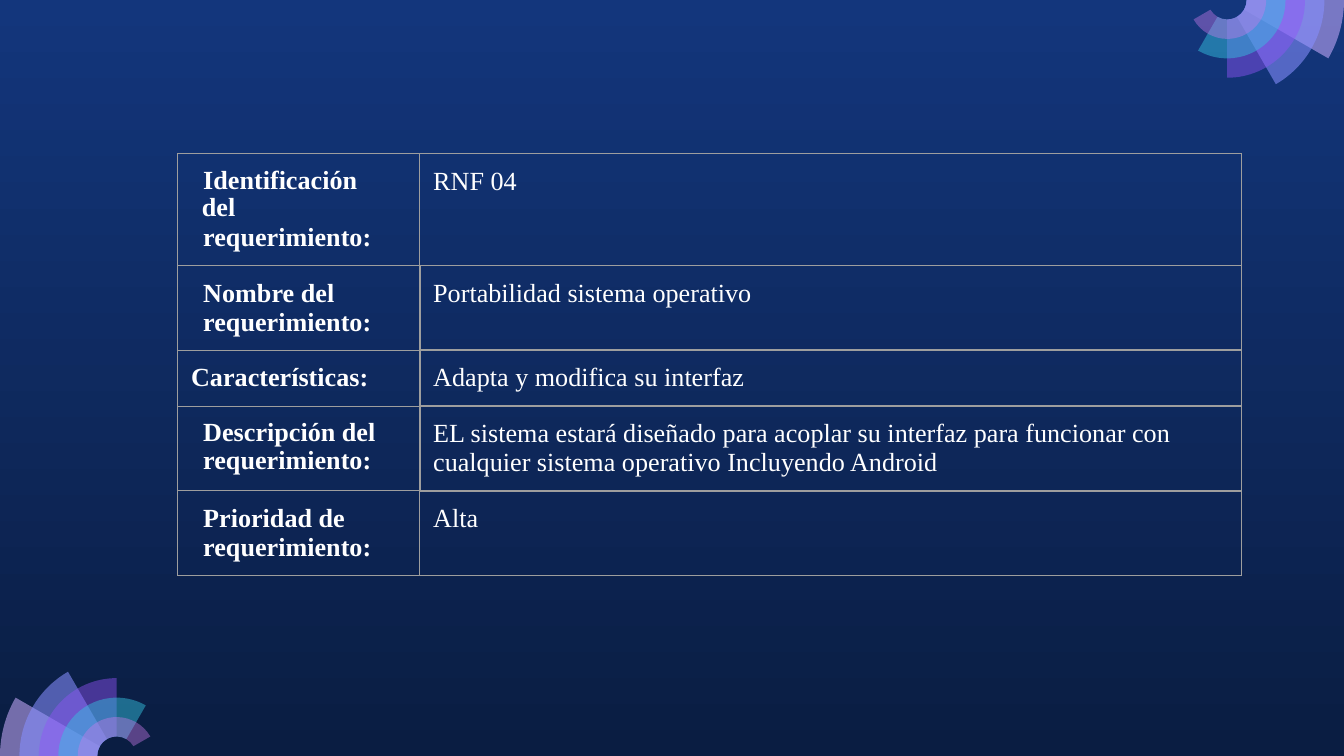
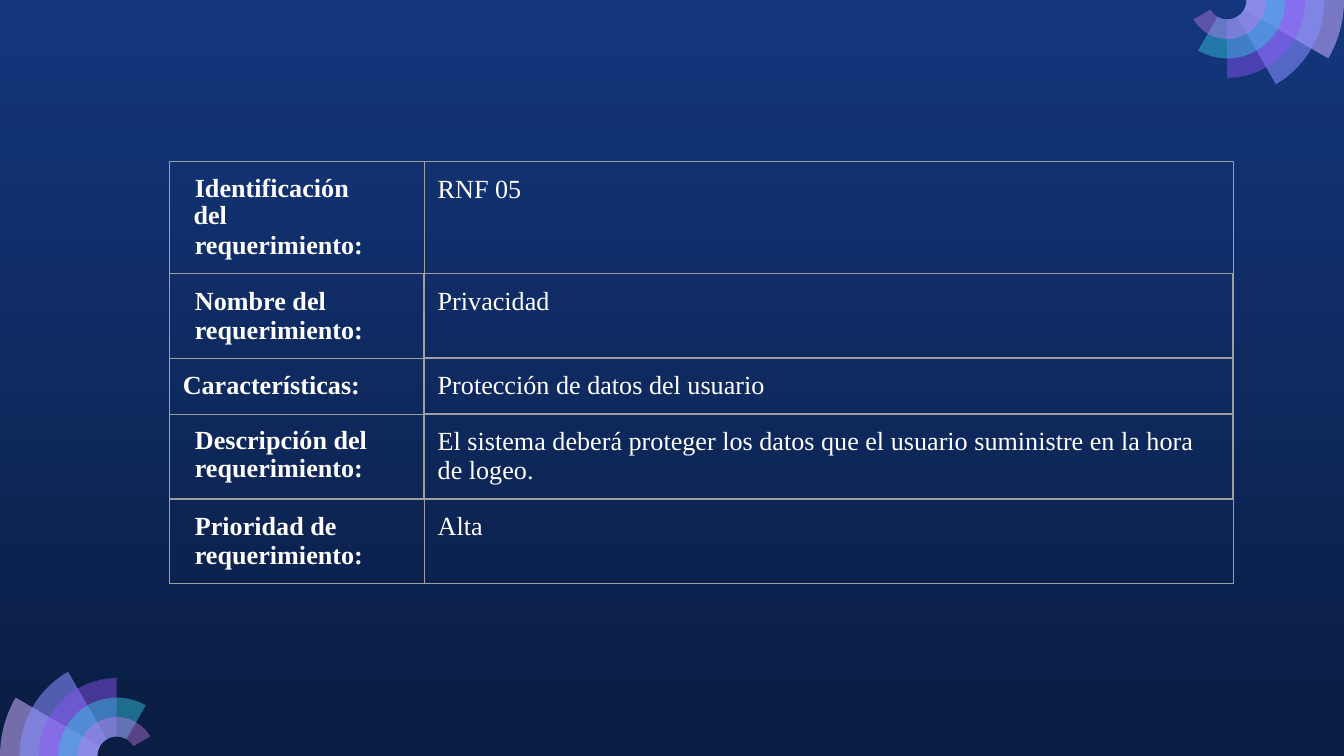
from math import cos, radians, sin, tan

from lxml import etree
from pptx import Presentation
from pptx.dml.color import RGBColor
from pptx.oxml.ns import qn
from pptx.util import Pt

SLIDE_WIDTH, SLIDE_HEIGHT = 720, 405
FONT = "Times New Roman"
COLORS = {
    "sky": "13367C",
    "night": "0A1D42",
    "text": "FFFFFF",
    "border": "9E9E9E",
    "lilac": "C8ACFD",
    "periwinkle": "878FFF",
    "violet": "9154F8",
    "cyan": "35C2DF",
    "orchid": "CA7BEB",
}

# Fan blades from the outermost inwards: colour and opacity in percent
BLADES = [("lilac", 56), ("periwinkle", 57), ("violet", 45), ("cyan", 48), ("orchid", 41)]
RING = 10.42
FAN_RADIUS = 6 * RING
BLADE_SWEEP = 30

INSET = 7.2
ROW_HEIGHT = 30
THIN, THICK = 0.75, 1

# Border widths in the order left, right, top, bottom
ALL_THIN = (THIN,) * 4
ALL_THICK = (THICK,) * 4
LABEL_BORDERS = [ALL_THIN] + [(THIN, THICK, THIN, THIN)] * 3 + [ALL_THIN]
VALUE_BORDERS = [(THIN, THIN, THIN, THICK)] + [ALL_THICK] * 3 + [(THIN, THIN, THICK, THIN)]

# Each label: its paragraphs, and the format of each paragraph
INDENTED = {"indent": 6.48}
LABELS = [
    [("Identificación del", {"indent": 5.76, "first_line": 0.72, "line_spacing": 0.96}),
     ("requerimiento:", {"indent": 6.48, "space_before": 0.3})],
    [("Nombre del", INDENTED), ("requerimiento:", INDENTED)],
    [("Características:", {})],
    [("Descripción del requerimiento:", {"indent": 6.48, "line_spacing": 0.96})],
    [("Prioridad de", INDENTED), ("requerimiento:", INDENTED)],
]
IDENTIFIER_RIGHT_INSET = 22

REQUIREMENTS = [
    {
        "left": 95.2, "top": 82.3, "columns": (129.7, 440.2), "first_row": ROW_HEIGHT,
        "values": [
            "RNF 04",
            "Portabilidad sistema operativo",
            "Adapta y modifica su interfaz",
            "EL sistema estará diseñado para acoplar su interfaz para funcionar con "
            "cualquier sistema operativo Incluyendo Android",
            "Alta",
        ],
    },
    {
        "left": 90.7, "top": 86.6, "columns": (136.6, 433.4), "first_row": 46,
        "values": [
            "RNF 05",
            "Privacidad",
            "Protección de datos del usuario",
            "El sistema deberá proteger los datos que el usuario suministre en la hora "
            "de logeo.",
            "Alta",
        ],
    },
]


def rgb(color):
    return RGBColor.from_string(COLORS[color])


def write(paragraph, text, bold=False, indent=0, first_line=0, line_spacing=None,
          space_before=None):
    properties = paragraph._p.get_or_add_pPr()
    properties.set("marL", str(Pt(indent)))
    properties.set("indent", str(Pt(first_line)))
    if line_spacing:
        paragraph.line_spacing = line_spacing
    if space_before:
        paragraph.space_before = Pt(space_before)
    run = paragraph.add_run()
    run.text = text
    run.font.name = FONT
    run.font.size = Pt(14)
    run.font.bold = bold
    run.font.color.rgb = rgb("text")


def arc_controls(center, radius, start, end):
    """Return the two Bézier control points of an arc, in EMU."""
    reach = 4 / 3 * tan(radians(end - start) / 4)
    controls = []
    for angle, pull in ((start, reach), (end, -reach)):
        c, s = cos(radians(angle)), sin(radians(angle))
        controls.append((Pt(center[0] + radius * (c - pull * s)),
                         Pt(center[1] + radius * (s + pull * c))))
    return controls


class Deck:
    def __init__(self):
        self.presentation = Presentation()
        self.presentation.slide_width = Pt(SLIDE_WIDTH)
        self.presentation.slide_height = Pt(SLIDE_HEIGHT)
        self.slide = None

    def add_slide(self):
        """Start a slide with the gradient and the two corner fans."""
        self.slide = self.presentation.slides.add_slide(self.presentation.slide_layouts[6])
        fill = self.slide.background.fill
        fill.gradient()
        fill.gradient_angle = 270
        for stop, color in zip(fill.gradient_stops, ("sky", "night")):
            stop.color.rgb = rgb(color)
        self.fan((FAN_RADIUS, SLIDE_HEIGHT), start=180)
        self.fan((SLIDE_WIDTH - FAN_RADIUS, 0), start=0)

    def fan(self, center, start):
        shapes = self.slide.shapes.add_group_shape().shapes
        for i, (color, opacity) in enumerate(BLADES):
            self.blade(shapes, center, FAN_RADIUS - i * RING, start,
                       (i + 1) * BLADE_SWEEP, color, opacity)

    def blade(self, shapes, center, radius, start, sweep, color, opacity):
        """Draw a ring sector, its arcs split at the quarter turn."""
        angles = sorted({start, start + min(sweep, 90), start + sweep})
        nodes = [(radius, a) for a in angles] + [(RING, a) for a in reversed(angles)]
        points = [(Pt(center[0] + r * cos(radians(a))), Pt(center[1] + r * sin(radians(a))))
                  for r, a in nodes]
        builder = shapes.build_freeform(*points[0])
        builder.add_line_segments(points[1:], close=True)
        shape = builder.convert_to_shape()
        segments = shape._element.spPr.findall(".//" + qn("a:lnTo"))
        for segment, (r, a), (next_r, next_a) in zip(segments, nodes, nodes[1:]):
            if r == next_r:
                segment.tag = qn("a:cubicBezTo")
                for i, (x, y) in enumerate(arc_controls(center, r, a, next_a)):
                    control = etree.Element(qn("a:pt"), x=str(x - shape.left),
                                            y=str(y - shape.top))
                    segment.insert(i, control)
        shape.shadow.inherit = False
        shape.line.fill.background()
        shape.fill.solid()
        shape.fill.fore_color.rgb = rgb(color)
        fill_color = shape._element.spPr.find(".//" + qn("a:srgbClr"))
        etree.SubElement(fill_color, qn("a:alpha"), val=str(opacity * 1000))

    def requirement_table(self, left, top, columns, first_row, values):
        heights = [first_row] + [ROW_HEIGHT] * (len(values) - 1)
        table = self.slide.shapes.add_table(
            len(values), len(columns), Pt(left), Pt(top), Pt(sum(columns)), Pt(sum(heights))
        ).table
        table.first_row = table.horz_banding = False
        for column, width in zip(table.columns, columns):
            column.width = Pt(width)
        for i, (label, value) in enumerate(zip(LABELS, values)):
            table.rows[i].height = Pt(heights[i])
            self.cell(table.cell(i, 0), label, LABEL_BORDERS[i], bold=True)
            self.cell(table.cell(i, 1), [(value, {})], VALUE_BORDERS[i])
        table.cell(0, 0).margin_right = Pt(IDENTIFIER_RIGHT_INSET)

    def cell(self, cell, paragraphs, borders, bold=False):
        cell.margin_left = cell.margin_right = Pt(INSET)
        cell.margin_top = cell.margin_bottom = Pt(INSET)
        properties = cell._tc.get_or_add_tcPr()
        for side, width in zip("LRTB", borders):
            line = etree.SubElement(properties, qn(f"a:ln{side}"), w=str(Pt(width)))
            solid = etree.SubElement(line, qn("a:solidFill"))
            etree.SubElement(solid, qn("a:srgbClr"), val=COLORS["border"])
        cell.fill.background()
        frame = cell.text_frame
        for i, (text, layout) in enumerate(paragraphs):
            paragraph = frame.add_paragraph() if i else frame.paragraphs[0]
            write(paragraph, text, bold=bold, **layout)


def main():
    deck = Deck()
    for requirement in REQUIREMENTS:
        deck.add_slide()
        deck.requirement_table(**requirement)
    deck.presentation.save("out.pptx")


if __name__ == "__main__":
    main()
